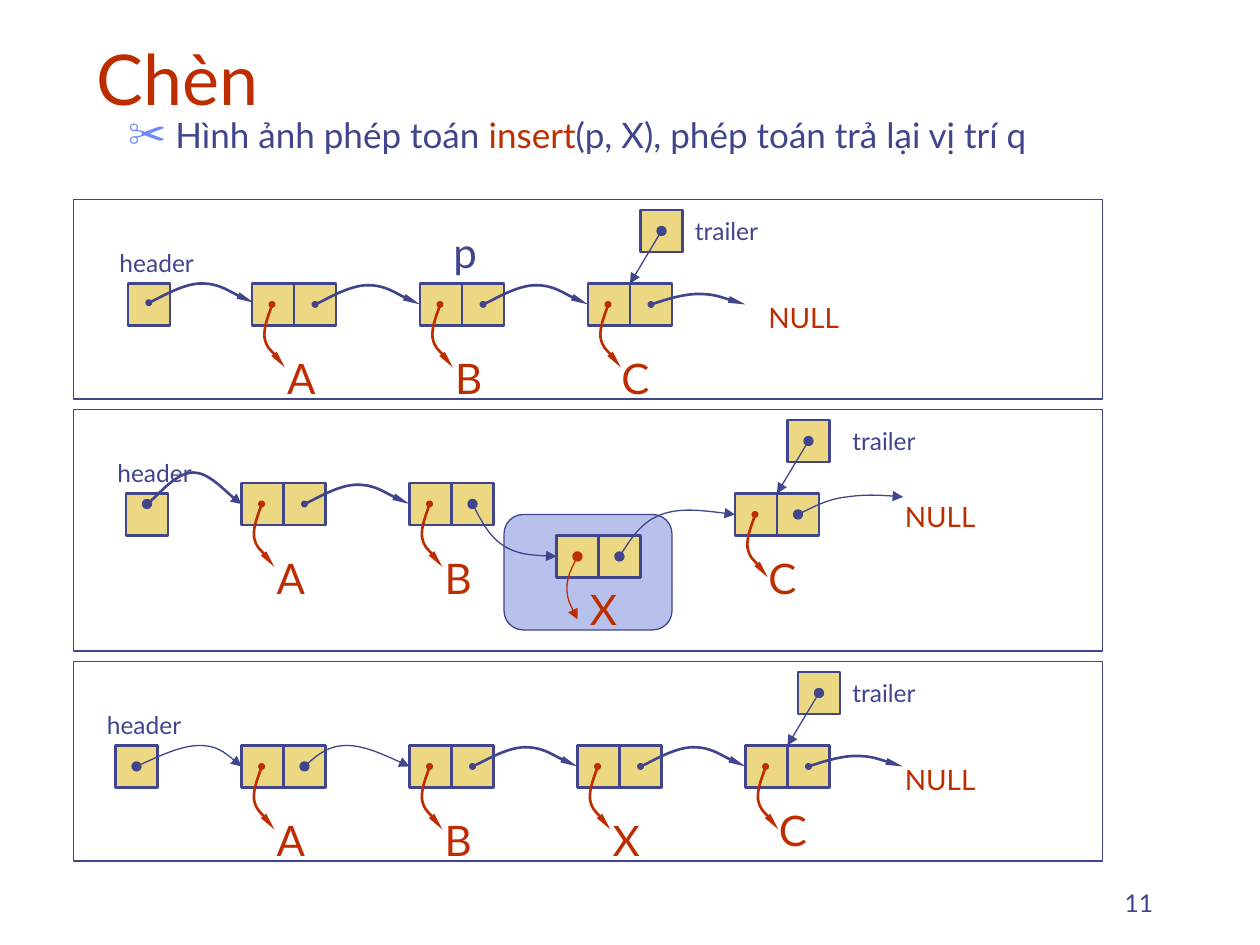
from dataclasses import dataclass

from lxml import etree
from pptx import Presentation
from pptx.dml.color import RGBColor
from pptx.enum.shapes import MSO_CONNECTOR, MSO_SHAPE
from pptx.enum.text import MSO_ANCHOR, MSO_AUTO_SIZE, PP_ALIGN
from pptx.oxml.ns import qn
from pptx.util import Pt

RECT, ROUNDED = MSO_SHAPE.RECTANGLE, MSO_SHAPE.ROUNDED_RECTANGLE
STRAIGHT = MSO_CONNECTOR.STRAIGHT
LEFT, CENTER, RIGHT = PP_ALIGN.LEFT, PP_ALIGN.CENTER, PP_ALIGN.RIGHT
TOP, BOTTOM = MSO_ANCHOR.TOP, MSO_ANCHOR.BOTTOM
NO_FIT = MSO_AUTO_SIZE.NONE

INK = RGBColor(0x40, 0x45, 0x8C)
RED = RGBColor(0xBE, 0x2D, 0x00)
GOLD = RGBColor(0xEC, 0xD8, 0x82)
LILAC = RGBColor(0xB7, 0xC1, 0xEB)
BULLET = RGBColor(0x6F, 0x89, 0xF7)
FONT = "Lato"
CELL = 24
HALF = CELL / 2
THIN, THICK = 0.75, 1.5

# Curves: Bezier points relative to the start, three for each segment
NEXT = ((5, -2), (20, -11), (30, -11), (40, -11), (54, -2), (60, 0))
TO_NULL = ((4.5, -1.5), (18, -6), (27, -6), (36, -6), (49, -1.5), (54, 0))
DATA = ((-0.7, 3), (-5, 13), (-4.3, 19), (-3, 25), (5, 32), (7.3, 36))
HIGH = ((4.5, -3), (17, -18), (26.5, -18), (35, -18), (48.5, -3.5), (54, 0))
EARLY = ((6.5, -6), (14, -12), (24, -12), (34, -12), (47, -6), (60, 0))
LATE = ((13, -6), (26, -12), (36, -12), (46, -12), (53, -6), (60, 0))
LEVEL = ((9, -4.5), (18, -9), (28, -10), (38, -11.5), (49, -11), (60, -10))
INTO_X = ((5, 9.5), (10, 19), (18, 24), (26, 29), (37, 29.5), (48, 30))
FROM_X = ((6.5, -10), (13, -20), (24, -24), (35, -28), (50, -26), (66, -24))
X_DATA = ((-3, 6), (-6, 12), (-6, 18), (-6, 24), (-3, 30), (0, 36))


@dataclass(frozen=True)
class Link:
    """Curved pointer; slim ones have a small dot and a narrow arrowhead."""
    curve: tuple
    width: float = THICK
    slim: bool = True


@dataclass(frozen=True)
class Node:
    letter: str
    x: float
    y: float
    link: Link
    letter_drop: float = 36
    letter_shift: float = 13
    data: Link = Link(DATA)
    data_start: float = 11.5


@dataclass(frozen=True)
class Header:
    x: float
    y: float
    label: tuple
    start: tuple
    link: Link


@dataclass(frozen=True)
class Row:
    top: float
    height: float
    header: Header
    nodes: tuple
    trailer: tuple
    trailer_label_x: float
    null: tuple


SLIM = Link(NEXT)
ROWS = (
    Row(114, 114, Header(73.2, 162, (61.2, 138), (85, 173), SLIM),
        (Node("A", 144, 162, SLIM), Node("B", 240, 162, SLIM),
         Node("C", 336, 162, Link(TO_NULL), letter_shift=12)),
        (366, 120), 390, (432, 168)),
    Row(234, 138, Header(72, 282, (60, 258), (84, 288), Link(HIGH, THICK, False)),
        (Node("A", 138, 276, SLIM), Node("B", 234, 276, Link(INTO_X, THIN, False)),
         Node("X", 318, 306, Link(FROM_X, THIN, False), 24, 12,
              Link(X_DATA, THIN, False), 12),
         Node("C", 420, 282, Link(LEVEL, THIN, False), 30, 12)),
        (450, 240), 480, (510, 282)),
    Row(378, 114, Header(66, 426, (54, 402), (78, 438), Link(LATE, THIN, False)),
        (Node("A", 138, 426, Link(EARLY, THIN, False)), Node("B", 234, 426, SLIM),
         Node("X", 330, 426, SLIM),
         Node("C", 426, 426, Link(TO_NULL), 30, 12)),
        (456, 384), 480, (510, 432)),
)


def add_span(para, text: str, size: float, color: RGBColor) -> None:
    span = para.add_run()
    span.text = text
    span.font.name, span.font.size = FONT, Pt(size)
    span.font.color.rgb = color


def add_label(page, text: str, x: float, y: float, width: float, height: float,
              size: float, color: RGBColor, align=LEFT, anchor=TOP) -> None:
    box = page.shapes.add_textbox(Pt(x), Pt(y), Pt(width), Pt(height))
    box.text_frame.word_wrap = True
    box.text_frame.vertical_anchor = anchor
    para = box.text_frame.paragraphs[0]
    para.alignment = align
    add_span(para, text, size, color)


def add_box(page, x: float, y: float, width: float, height: float,
            fill: RGBColor | None, line_width: float, kind=RECT):
    box = page.shapes.add_shape(kind, Pt(x), Pt(y), Pt(width), Pt(height))
    box.shadow.inherit = False
    if fill is None:
        box.fill.background()
    else:
        box.fill.solid()
        box.fill.fore_color.rgb = fill
    box.line.color.rgb, box.line.width = INK, Pt(line_width)
    return box


def add_cell(page, x: float, y: float) -> None:
    add_box(page, x, y, CELL, CELL, GOLD, THICK)


def style_arrow(arrow, color: RGBColor, width: float, slim: bool) -> None:
    arrow.line.color.rgb, arrow.line.width = color, Pt(width)
    outline = arrow.element.spPr.find(qn("a:ln"))
    dot, tip = (("sm", "sm"), ("sm", "lg")) if slim else (("med", "med"),) * 2
    for tag, kind, (wide, long) in (("a:headEnd", "oval", dot),
                                    ("a:tailEnd", "triangle", tip)):
        etree.SubElement(outline, qn(tag), type=kind, w=wide, len=long)


def add_curve(page, x: float, y: float, link: Link, color: RGBColor) -> None:
    builder = page.shapes.build_freeform(Pt(x), Pt(y))
    builder.add_line_segments([(Pt(x + dx), Pt(y + dy)) for dx, dy in link.curve],
                              close=False)
    arrow = builder.convert_to_shape()
    arrow.shadow.inherit = False
    arrow.fill.background()
    style_arrow(arrow, color, link.width, link.slim)
    # Each three line steps become one Bezier segment
    steps = list(arrow.element.iter(qn("a:lnTo")))
    outline = steps[0].getparent()
    for first in range(0, len(steps), 3):
        segment = etree.SubElement(outline, qn("a:cubicBezTo"))
        for step in steps[first:first + 3]:
            segment.append(step[0])
            outline.remove(step)


def add_node(page, node: Node) -> None:
    for x in (node.x, node.x + CELL):
        add_cell(page, x, node.y)
    add_curve(page, node.x + CELL + HALF, node.y + HALF, node.link, INK)
    add_curve(page, node.x + node.data_start, node.y + HALF, node.data, RED)
    add_label(page, node.letter, node.x + node.letter_shift,
              node.y + node.letter_drop, 28.8, 36, 24, RED, CENTER)


def add_trailer(page, row: Row) -> None:
    x, y = row.trailer
    add_cell(page, x, y)
    last = row.nodes[-1]
    arrow = page.shapes.add_connector(STRAIGHT, Pt(x + HALF), Pt(y + HALF),
                                      Pt(last.x + CELL), Pt(last.y))
    style_arrow(arrow, INK, THIN, False)
    etree.SubElement(arrow.element.spPr, qn("a:effectLst"))
    add_label(page, "trailer", row.trailer_label_x, y, 84, 24.5, 14, INK)


def add_row(page, row: Row) -> None:
    header = row.header
    add_cell(page, header.x, header.y)
    add_label(page, "header", *header.label, 66, 24.5, 14, INK)
    add_curve(page, *header.start, header.link, INK)
    for node in row.nodes:
        add_node(page, node)
    add_trailer(page, row)
    add_label(page, "NULL", *row.null, 84, 26.6, 16, RED)


def place(holder, x: float, y: float, width: float, height: float, anchor):
    holder.left, holder.top = Pt(x), Pt(y)
    holder.width, holder.height = Pt(width), Pt(height)
    frame = holder.text_frame
    frame.auto_size, frame.vertical_anchor = NO_FIT, anchor
    para = frame.paragraphs[0]
    para.alignment = LEFT
    return para


def add_heading(page) -> None:
    title = place(page.shapes.title, 48, 24, 612, 48, BOTTOM)
    add_span(title, "Chèn", 40, RED)
    para = place(page.placeholders[1], 66, 66, 618, 42, TOP)
    para.line_spacing, para.space_before = 0.8, Pt(5)
    for text, color in (("Hình ảnh phép toán ", INK), ("insert", RED),
                        ("(p, X), phép toán trả lại vị trí q", INK)):
        add_span(para, text, 20, color)
    # Scissors bullet with a hanging indent
    props = para._p.get_or_add_pPr()
    props.set("marL", str(Pt(27)))
    props.set("indent", str(-Pt(27)))
    tint = etree.SubElement(props, qn("a:buClr"))
    etree.SubElement(tint, qn("a:srgbClr"), val=str(BULLET))
    etree.SubElement(props, qn("a:buSzPct"), val="110000")
    etree.SubElement(props, qn("a:buChar"), char="✂")


def main() -> None:
    deck = Presentation()
    deck.slide_width, deck.slide_height = Pt(720), Pt(540)
    page = deck.slides.add_slide(deck.slide_layouts[1])
    add_heading(page)
    # Frames, then the highlight behind the inserted node
    for row in ROWS:
        add_box(page, 42, row.top, 588, row.height, None, THIN)
    add_box(page, 288, 294, 96, 66, LILAC, THIN, ROUNDED)
    for row in ROWS:
        add_row(page, row)
    add_label(page, "p", 252, 126, 42, 36, 24, INK)
    # Page number
    add_label(page, "11", 516, 492, 150, 36, 14, INK, RIGHT, BOTTOM)
    deck.save("out.pptx")


if __name__ == "__main__":
    main()
